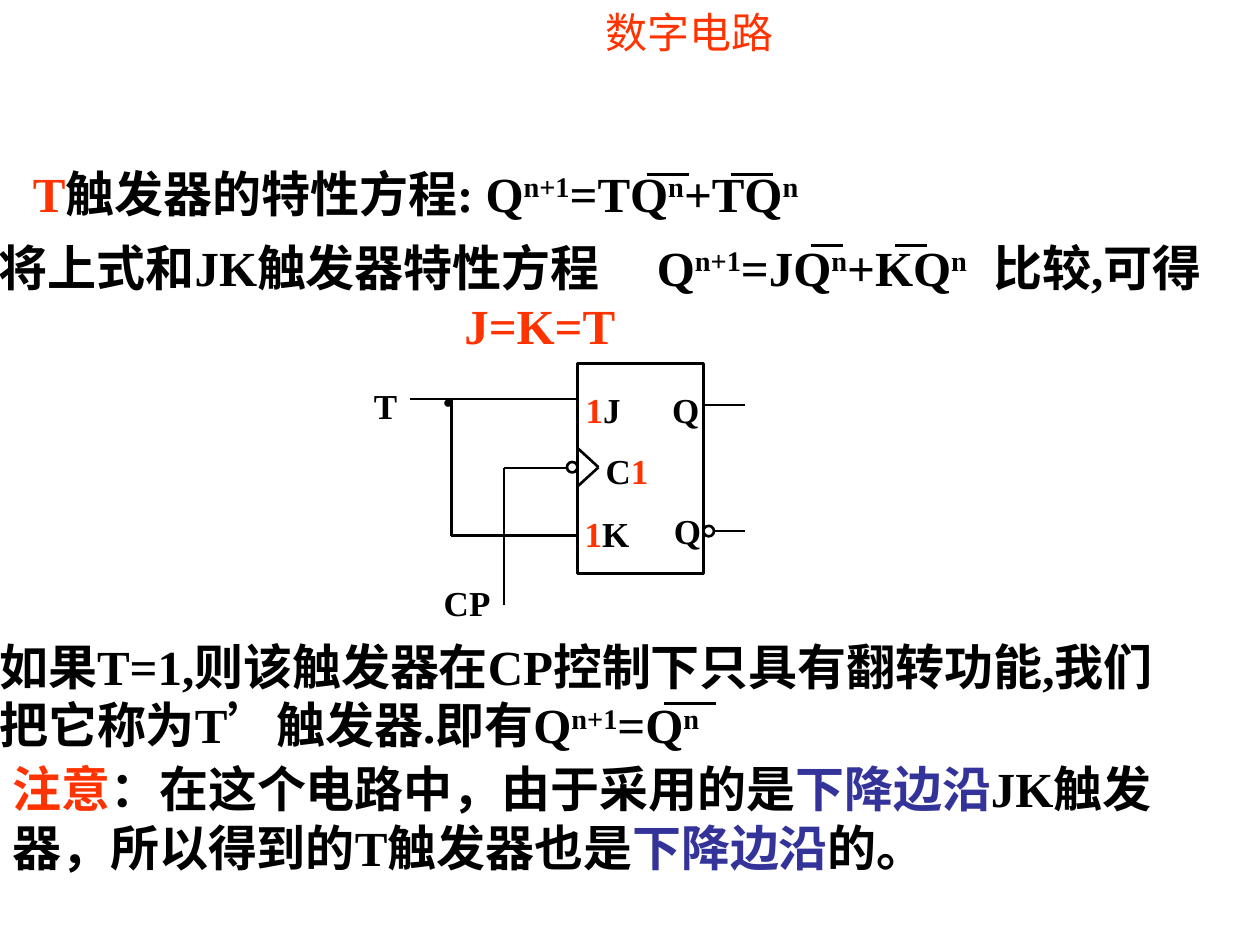
import pptx
import pptx.dml.color
import pptx.enum.shapes
import pptx.enum.text
import pptx.oxml
import pptx.oxml.ns
import pptx.util

Pt = pptx.util.Pt
RGB = pptx.dml.color.RGBColor
qn = pptx.oxml.ns.qn
SHAPE = pptx.enum.shapes.MSO_SHAPE
TEXT = pptx.enum.text

BLACK = RGB(0, 0, 0)
RED = RGB(0xFF, 0x33, 0x00)
BLUE = RGB(0x33, 0x33, 0x99)
LATIN = "Times New Roman"
CHINESE = "Noto Sans CJK SC"


def write(box, paragraphs, size=28, bold=True, latin=LATIN, chinese=CHINESE,
          wrap=False, indents=(), tabs=()):
    """Fill a box with paragraphs of (text, colour) runs; ^...^ is superscript.

    indents holds one left indent per paragraph, tabs the stops of the first.
    """
    frame = box.text_frame
    frame.word_wrap = wrap
    frame.auto_size = TEXT.MSO_AUTO_SIZE.SHAPE_TO_FIT_TEXT
    frame.vertical_anchor = TEXT.MSO_ANCHOR.TOP
    for number, runs in enumerate(paragraphs):
        paragraph = frame.add_paragraph() if number else frame.paragraphs[0]
        paragraph.line_spacing = Pt(1.2 * size)
        properties = paragraph._p.get_or_add_pPr()
        properties.set("hangingPunct", "0")
        if indents:
            properties.set("marL", str(Pt(indents[number])))
        if tabs and number == 0:
            stops = properties.makeelement(qn("a:tabLst"), {})
            properties.append(stops)
            for stop in tabs:
                stops.append(stops.makeelement(
                    qn("a:tab"), {"pos": str(Pt(stop)), "algn": "l"}))
        for text, colour in runs:
            for part, piece in enumerate(text.split("^")):
                if not piece:
                    continue
                run = paragraph.add_run()
                run.text = piece
                run.font.size = Pt(size)
                run.font.bold = bold
                run.font.name = latin
                run.font.color.rgb = colour
                run_properties = run.font._element
                run_properties.set("lang", "zh-CN")
                if part % 2:
                    run_properties.set("baseline", "30000")
                east_asian = run_properties.makeelement(
                    qn("a:ea"), {"typeface": chinese})
                run_properties.find(qn("a:latin")).addnext(east_asian)


presentation = pptx.Presentation()
presentation.slide_width = Pt(720)
presentation.slide_height = Pt(540)
slide = presentation.slides.add_slide(presentation.slide_layouts[5])
shapes = slide.shapes

# Course title
title = shapes.title
title.left, title.top, title.width, title.height = Pt(291.5), Pt(0), Pt(205), Pt(43)
write(title, [[("数字电路", RED)]], size=24, bold=False, latin=CHINESE)
title.text_frame.paragraphs[0].alignment = TEXT.PP_ALIGN.CENTER

# Statements: position, paragraphs, format
statements = [
    ((11.75, 90, 465, 41),
     [[("T", RED), ("触发器的特性方程: Q^n+1^=TQ^n^+TQ^n^", BLACK)]], {}),
    ((-7.75, 132, 730, 75),
     [[("将上式和JK触发器特性方程\tQ^n+1^=JQ^n^+KQ^n^\t比较,可得", BLACK)],
      [("J=K=T", RED)]],
     {"indents": (0, 266), "tabs": (376, 568.25)}),
    ((0, 430, 720, 75),
     [[("注意", RED), ("：在这个电路中，由于采用的是", BLACK), ("下降边沿", BLUE),
       ("JK触发器，所以得到的T触发器也是", BLACK), ("下降边沿", BLUE), ("的。", BLACK)]],
     {"wrap": True}),
    ((-7.5, 360, 714, 75),
     [[("如果T=1,则该触发器在CP控制下只具有翻转功能,我们", BLACK)],
      [("把它称为T’触发器.即有Q^n+1^=Q^n^", BLACK)]], {}),
]
for place, paragraphs, text_format in statements:
    write(shapes.add_textbox(*map(Pt, place)), paragraphs, **text_format)

# Flip-flop body and inversion bubbles
outlines = [
    (SHAPE.RECTANGLE, 330, 207.75, 72, 120),
    (SHAPE.OVAL, 324, 264, 6, 6),
    (SHAPE.OVAL, 402, 300.5, 6, 6),
]
for kind, *place in outlines:
    outline = shapes.add_shape(kind, *map(Pt, place))
    outline.shadow.inherit = False
    outline.fill.background()
    outline.line.color.rgb = BLACK
    outline.line.width = Pt(1.5)

# Pin labels
labels = [
    (327.5, 218.5, 35, [("1", RED), ("J", BLACK)]),
    (339, 253.5, 39, [("C", BLACK), ("1", RED)]),
    (327, 289.5, 40, [("1", RED), ("K", BLACK)]),
    (377, 218.5, 30, [("Q", BLACK)]),
    (378, 287.5, 30, [("Q", BLACK)]),
    (246.5, 329, 41, [("CP", BLACK)]),
    (206.5, 216, 27, [("T", BLACK)]),
]
for left, top, width, runs in labels:
    write(shapes.add_textbox(Pt(left), Pt(top), Pt(width), Pt(32)), [runs], size=20)

junction = shapes.add_textbox(Pt(246), Pt(220), Pt(24), Pt(20))
write(junction, [[("●", BLACK)]], size=10, bold=False, chinese=LATIN, wrap=True)

# Each row: start x, start y, end x, end y
overbars = [
    (369.5, 99.75, 393.5, 99.75), (417.5, 99.75, 441.5, 99.75),
    (463.5, 140.25, 481.5, 140.25), (511.5, 140.25, 529.5, 140.25),
    (379.5, 402, 409, 402),
]
wires = [
    (234, 228, 330, 228), (258, 228, 258, 306), (258, 306, 330, 306),
    (324, 267.5, 288, 267.5), (288, 267.5, 288, 345.5),
    (402, 231.5, 426, 231.5), (408, 303.5, 426, 303.5),
]
clock_edge = [(330, 256, 342, 267), (342, 267, 330, 278)]
for ends in overbars + wires + clock_edge:
    line = shapes.add_connector(
        pptx.enum.shapes.MSO_CONNECTOR.STRAIGHT, *map(Pt, ends))
    line.line.color.rgb = BLACK
    line.line.width = Pt(1.5)
    properties = line._element.spPr
    properties.append(properties.makeelement(qn("a:effectLst"), {}))

presentation.save("out.pptx")
